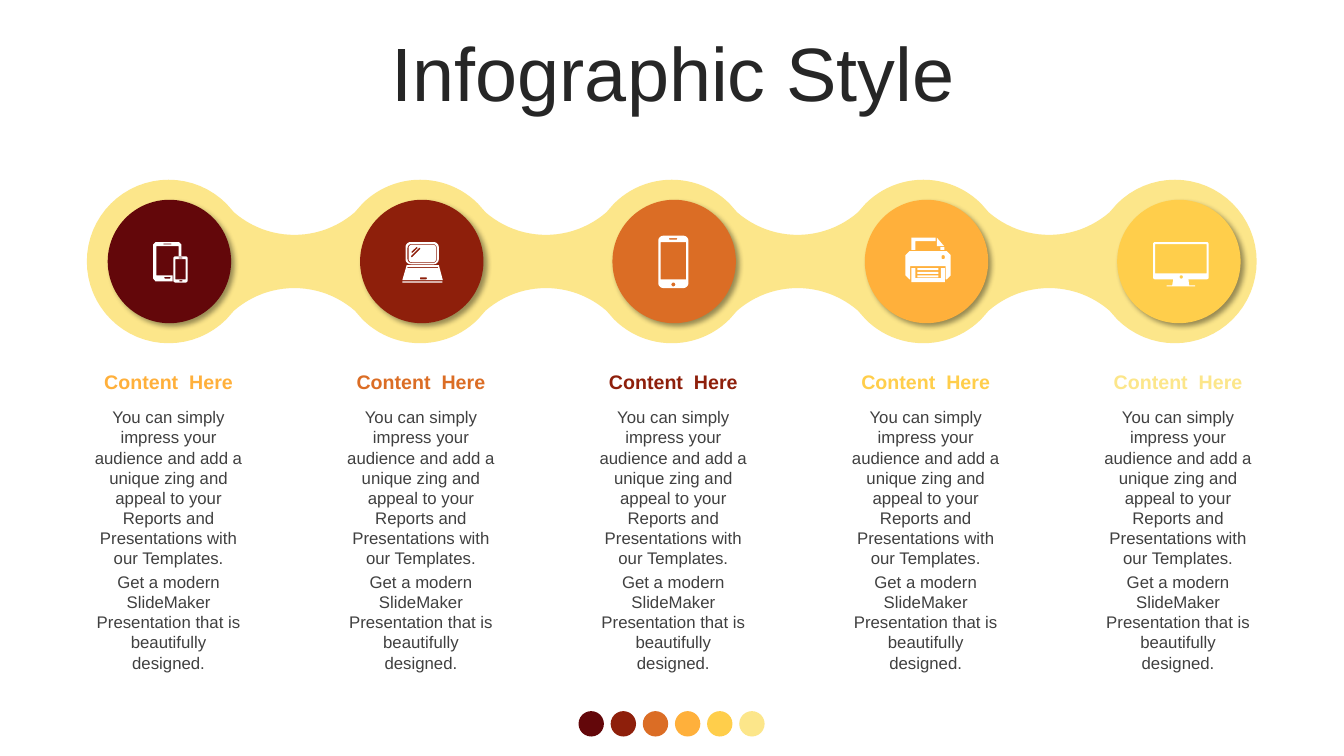
from dataclasses import dataclass
from math import cos, pi, radians, sin

from lxml.etree import SubElement
from pptx import Presentation
from pptx.dml.color import RGBColor
from pptx.enum.shapes import MSO_SHAPE
from pptx.enum.text import MSO_ANCHOR, PP_ALIGN
from pptx.oxml.ns import qn
from pptx.shapes.autoshape import Shape
from pptx.text.text import TextFrame
from pptx.util import Cm, Pt

Point = tuple[float, float]
Contour = list[Point]

PALETTE = ["63070A", "8E1F0B", "DB6D25", "FFB03B", "FFCE4B", "FCE68A"]
BAND_COLOR = "FCE68A"
BODY = [
    "You can simply impress your audience and add a unique zing and appeal "
    "to your Reports and Presentations with our Templates.",
    "Get a modern SlideMaker Presentation that is beautifully designed.",
]
MID_Y = 6.59  # centre line of band and discs


@dataclass
class Column:
    disc_color: str
    heading_color: str
    icon: list[Contour]


# Geometry, in centimetres
def arc(cx: float, cy: float, radius: float, start: float, end: float, steps: int = 24) -> Contour:
    angles = [radians(start + (end - start) * k / steps) for k in range(steps + 1)]
    return [(cx + radius * cos(a), cy + radius * sin(a)) for a in angles]


def box(left: float, top: float, right: float, bottom: float, radius: float = 0) -> Contour:
    if not radius:
        return [(left, top), (right, top), (right, bottom), (left, bottom)]
    x0, x1, y0, y1 = left + radius, right - radius, top + radius, bottom - radius
    corners = [(x0, y0, 180), (x1, y0, 270), (x1, y1, 0), (x0, y1, 90)]
    return [pt for x, y, a in corners for pt in arc(x, y, radius, a, a + 90, 6)]


def band_outline(lobes: int = 5, pitch: float = 6.34) -> Contour:
    upper: Contour = []
    for i in range(lobes):
        cx = 16.93 + (i - 2) * pitch
        upper += arc(cx, MID_Y, 2.06, 225 if i else 180, 315 if i < lobes - 1 else 360)
        if i < lobes - 1:
            upper += arc(cx + pitch / 2, MID_Y - 2.99, 2.32, 131, 49)
    return upper + [(x, 2 * MID_Y - y) for x, y in reversed(upper)]


# Drawing
def paint(sp: Shape, color: str) -> None:
    sp.shadow.inherit = False
    sp.fill.solid()
    sp.fill.fore_color.rgb = RGBColor.from_string(color)
    sp.line.fill.background()


def add_outline(contours: list[Contour], color: str, dx: float = 0, dy: float = 0) -> None:
    paths = [[(Cm(x + dx), Cm(y + dy)) for x, y in c] for c in contours]
    builder = slide.shapes.build_freeform(*paths[0][0])
    for n, pts in enumerate(paths):
        if n:
            builder.move_to(*pts[0])
        builder.add_line_segments(pts[1:], close=True)
    paint(builder.convert_to_shape(), color)


def add_circle(cx: float, cy: float, diameter: float, color: str) -> Shape:
    r = diameter / 2
    sp = slide.shapes.add_shape(MSO_SHAPE.OVAL, Cm(cx - r), Cm(cy - r), Cm(diameter), Cm(diameter))
    paint(sp, color)
    return sp


def add_shadow(sp: Shape) -> None:
    effects = sp._element.spPr.find(qn("a:effectLst"))
    shadow = SubElement(effects, qn("a:outerShdw"), blurRad=str(Pt(4)), dist=str(Pt(3)),
                        dir="2700000", algn="tl", rotWithShape="0")
    black = SubElement(shadow, qn("a:srgbClr"), val="000000")
    SubElement(black, qn("a:alpha"), val="40000")


def format_text(tf: TextFrame, size: float, color: str, bold: bool = False,
                before: float = 0, spacing: float = 1.0) -> None:
    for p in tf.paragraphs:
        p.alignment = PP_ALIGN.CENTER
        p.space_before = Pt(before)
        p.line_spacing = spacing
        for r in p.runs:
            r.font.name = "Arial"
            r.font.size = Pt(size)
            r.font.bold = bold
            r.font.color.rgb = RGBColor.from_string(color)


def add_text(cx: float, top: float, height: float, text: str) -> TextFrame:
    width = 4.27
    tf = slide.shapes.add_textbox(Cm(cx - width / 2), Cm(top), Cm(width), Cm(height)).text_frame
    tf.word_wrap = True
    tf.text = text
    return tf


# Icons, relative to the disc centre
tablet_and_phone = [
    [(.3, -.14), (.23, -.14), (.23, -.39), (-.33, -.39), (-.33, .35), (.08, .35), (.08, .5),
     (-.35, .5), (-.41, .43), (-.41, -.43), (-.35, -.49), (.24, -.49), (.3, -.43)],
    box(-.15, -.45, .05, -.43), box(-.13, .39, .03, .43, .02),
    box(.1, -.13, .46, .53, .05), box(.15, -.06, .41, .45),
    box(.23, -.1, .33, -.08), box(.25, .47, .33, .5),
]
laptop = [
    box(-.49, .5, .52, .53),
    [(-.38, .09), (.43, .09), (.53, .47), (-.49, .47)],
    box(-.36, .14, .41, .17), box(-.05, .4, .13, .45, .02),
    box(-.41, -.49, .43, .07, .13), box(-.36, -.44, .38, .04, .1),
    box(-.33, -.42, .36, .02, .08),
    [(-.06, -.35), (-.03, -.32), (-.25, -.1), (-.28, -.13)],
    [(-.13, -.37), (-.1, -.34), (-.24, -.21), (-.27, -.24)],
]
phone = [
    box(-.4, -.65, .36, .67, .13), box(-.34, -.49, .3, .45),
    box(-.13, -.59, .08, -.55, .02), box(-.07, .53, .03, .63, .05),
]
printer = [
    [(-.38, -.6), (.23, -.6), (.23, -.51), (-.28, -.51), (-.28, -.29), (-.38, -.29)],
    [(.26, -.6), (.44, -.39), (.26, -.39)],
    box(.35, -.36, .45, -.29),
    [(-.43, -.26), (.51, -.26), (.61, -.16), (.61, .35), (.51, .45), (.48, .45),
     (.48, .12), (-.41, .12), (-.41, .45), (-.43, .45), (-.53, .35), (-.53, -.16)],
    box(.38, -.16, .46, -.06, .03),
    [(-.38, .17), (-.28, .17), (-.28, .42), (.36, .42), (.36, .17), (.46, .17),
     (.46, .52), (-.38, .52)],
    *[box(-.23, .17 + .09 * k, .3, .22 + .09 * k) for k in range(3)],
]
monitor = [
    box(-.65, -.49, .75, .45, .05), box(-.6, -.44, .7, .3), box(.02, .35, .1, .43, .03),
    [(-.14, .45), (.24, .45), (.26, .6), (.41, .6), (.41, .63), (-.31, .63),
     (-.31, .6), (-.17, .6)],
]

columns = [
    Column(PALETTE[0], PALETTE[3], tablet_and_phone),
    Column(PALETTE[1], PALETTE[2], laptop),
    Column(PALETTE[2], PALETTE[1], phone),
    Column(PALETTE[3], PALETTE[4], printer),
    Column(PALETTE[4], PALETTE[5], monitor),
]

prs = Presentation()
prs.slide_width, prs.slide_height = Cm(33.87), Cm(19.05)
slide = prs.slides.add_slide(prs.slide_layouts[5])

# Title
title = slide.shapes.title
title.left, title.top, title.width, title.height = Cm(0.89), Cm(0.94), Cm(32.16), Cm(2.01)
title.text_frame.text = "Infographic Style"
title.text_frame.vertical_anchor = MSO_ANCHOR.MIDDLE
format_text(title.text_frame, 54, "262626", before=10, spacing=0.9)

# Palette dots
for i, color in enumerate(PALETTE):
    add_circle(14.9 + i * 0.81, 18.24, 0.64, color)

# Band and columns
add_outline([band_outline()], BAND_COLOR)
for i, column in enumerate(columns):
    cx = 16.99 + (i - 2) * 6.36
    add_shadow(add_circle(cx, MID_Y, 3.11, column.disc_color))
    add_outline(column.icon, "FFFFFF", cx, MID_Y)

    heading = add_text(cx - 0.02, 9.2, 0.86, "Content  Here")
    heading.vertical_anchor = MSO_ANCHOR.MIDDLE
    format_text(heading, 14, column.heading_color, bold=True)
    format_text(add_text(cx - 0.02, 10.13, 6.63, "\n".join(BODY)), 12, "404040", before=2.4)

prs.save("out.pptx")
